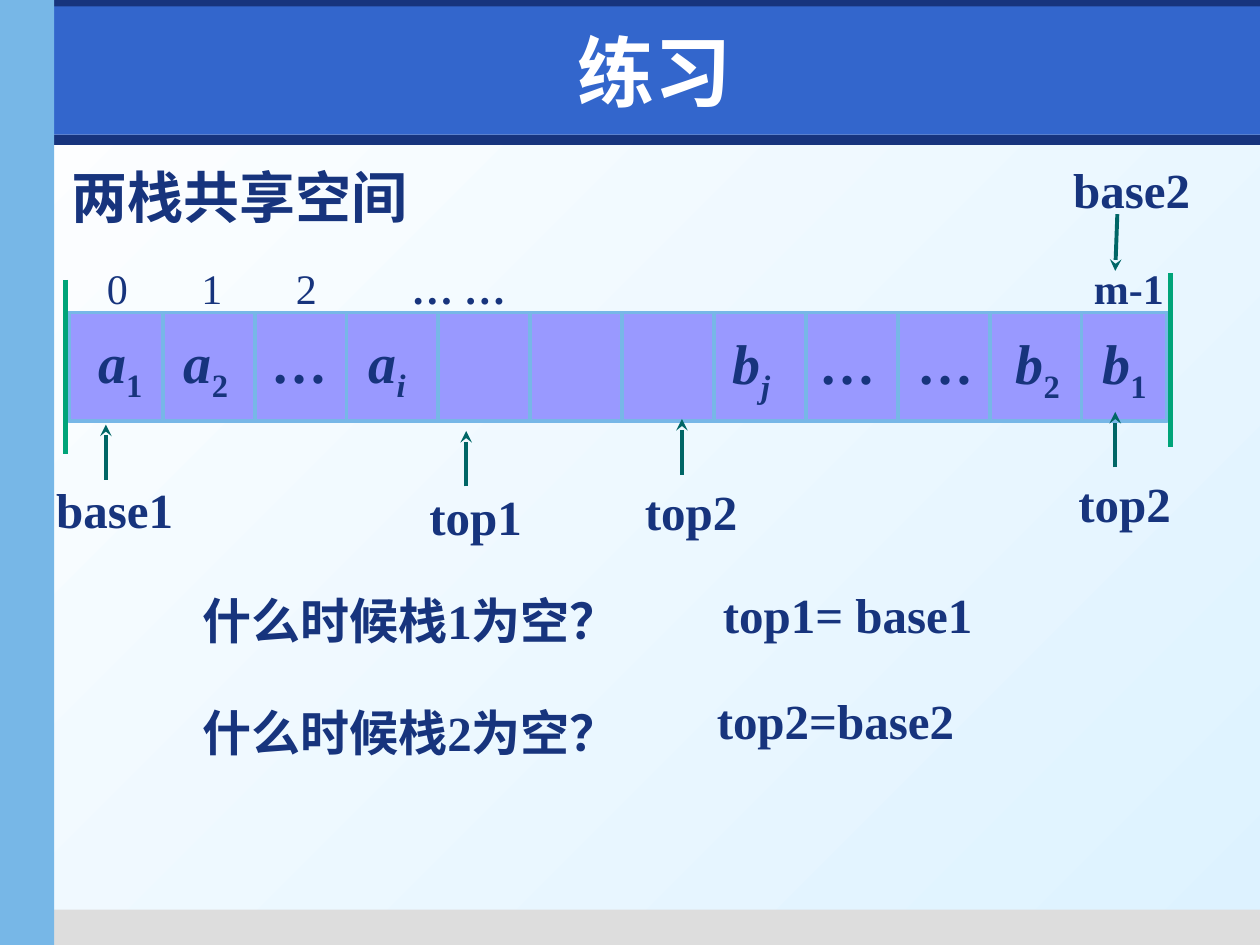
from lxml.etree import SubElement
from pptx import Presentation
from pptx.dml.color import RGBColor
from pptx.enum.shapes import MSO_CONNECTOR, MSO_SHAPE
from pptx.enum.text import MSO_ANCHOR, PP_ALIGN
from pptx.oxml.ns import qn
from pptx.util import Pt

COLORS = {
    "navy": "17347D", "blue": "3366CC", "sky": "77B7E7", "gray": "DDDDDD",
    "cell": "9999FF", "wall": "00A479", "arrow": "006666",
    "white": "FFFFFF", "pale": "DDF2FF",
}


def rgb(name):
    return RGBColor.from_string(COLORS[name])


class SlideBuilder:
    font = "Times New Roman"
    label_size = 28

    def __init__(self, slide):
        self.slide = slide

    def background(self, start, end):
        fill = self.slide.background.fill
        fill.gradient()
        fill.gradient_angle = 315
        for stop, color in zip(fill.gradient_stops, (start, end)):
            stop.color.rgb = rgb(color)

    def rect(self, left, top, width, height, color, border=None):
        shape = self.slide.shapes.add_shape(
            MSO_SHAPE.RECTANGLE, Pt(left), Pt(top), Pt(width), Pt(height))
        shape.shadow.inherit = False
        shape.fill.solid()
        shape.fill.fore_color.rgb = rgb(color)
        if border:
            shape.line.color.rgb = rgb(border)
            shape.line.width = Pt(2.25)
        else:
            shape.line.fill.background()

    def line(self, start, end, color, width=2.25, arrow=False):
        connector = self.slide.shapes.add_connector(
            MSO_CONNECTOR.STRAIGHT, *(Pt(value) for value in (*start, *end)))
        connector.line.color.rgb = rgb(color)
        connector.line.width = Pt(width)
        properties = connector._element.spPr
        if arrow:
            SubElement(properties.find(qn("a:ln")), qn("a:tailEnd"), type="stealth")
        SubElement(properties, qn("a:effectLst"))

    def text(self, left, top, width, height, runs, size=label_size, color="navy",
             font=font, tabs=(), align=PP_ALIGN.LEFT, anchor=MSO_ANCHOR.TOP):
        frame = self.slide.shapes.add_textbox(
            Pt(left), Pt(top), Pt(width), Pt(height)).text_frame
        frame.word_wrap = True
        frame.vertical_anchor = anchor
        paragraph = frame.paragraphs[0]
        paragraph.alignment = align
        if tabs:
            tab_list = SubElement(paragraph._p.get_or_add_pPr(), qn("a:tabLst"))
            for position in tabs:
                SubElement(tab_list, qn("a:tab"), pos=str(int(Pt(position))), algn="l")
        for content, style in runs:
            run = paragraph.add_run()
            run.text = content
            run.font.name = font
            run.font.size = Pt(size)
            run.font.color.rgb = rgb(color)
            run.font.bold = "b" in style
            run.font.italic = "i" in style
            if "_" in style:
                run.font._element.set("baseline", "-25000")

    def label(self, left, top, width, content, size=label_size):
        self.text(left, top, width, size * 1.45, [(content, "b")], size)

    def pointer(self, content, left, top, width, start, end):
        self.label(left, top, width, content)
        self.line(start, end, "arrow", arrow=True)


def main():
    presentation = Presentation()
    presentation.slide_width, presentation.slide_height = Pt(720), Pt(540)
    page = SlideBuilder(presentation.slides.add_slide(presentation.slide_layouts[6]))

    page.background("white", "pale")
    page.rect(31, 77, 689, 5.8, "navy")
    page.rect(31, 519.8, 689, 20.2, "gray")
    page.rect(31, 0, 689, 15, "navy")
    page.rect(31, 3.6, 689, 73.4, "blue")
    page.rect(0, 0, 31, 540, "sky")
    page.text(42.5, 9.4, 663, 62.6, [("练习", "b")], 44, "white", "DejaVu Sans",
              align=PP_ALIGN.CENTER, anchor=MSO_ANCHOR.MIDDLE)
    page.label(33.8, 89.3, 360, "两栈共享空间", 32)

    array_top, array_bottom = 178.6, 240.5
    page.rect(39.6, array_top, 627.1, array_bottom - array_top, "cell", "sky")
    for divider in range(11):
        x = 93 + 52.5 * divider
        page.line((x, array_top), (x, array_bottom), "sky")
    for x, top in ((37.4, 160), (668.9, 156.3)):
        page.line((x, top), (x, top + 99.3), "wall", 3)

    page.text(54, 146.2, 631, 36, [("0\t1\t2\t", ""), ("… …\tm-1", "b")], 24,
              tabs=(54, 108, 174, 564))
    page.text(49, 183.6, 222.5, 45.4, [
        ("a", "bi"), ("1", "b_"), ("\t", "b"), ("a", "bi"), ("2", "b_"),
        ("\t…\t", "b"), ("a", "bi"), ("i", "bi_")], 32, tabs=(49, 99, 154.5))
    page.text(411.8, 184.3, 260, 45.4, [
        ("b", "bi"), ("j", "bi_"), ("\t…\t…\t", "b"), ("b", "bi"), ("2", "b_"),
        ("\t", "b"), ("b", "bi"), ("1", "b_")], 32, tabs=(49.5, 105.5, 161.5, 211))

    for pointer in (
        ("base1", 25, 270.7, 95, (60.5, 274.3), (60.5, 242.6)),
        ("top1", 238.3, 274.6, 75.6, (266.4, 278), (266.4, 246.3)),
        ("top2", 361.4, 271.4, 67.7, (389.7, 271.4), (389.7, 239.4)),
        ("top2", 609.1, 267.1, 67.7, (637.3, 267.1), (637.3, 235.4)),
        ("base2", 606.2, 87.8, 82.8, (638.5, 122.4), (637.3, 154.8)),
    ):
        page.pointer(*pointer)

    for question, question_top, answer, answer_left, answer_top in (
        ("什么时候栈1为空？", 334, "top1= base1", 406, 330.5),
        ("什么时候栈2为空？", 397.7, "top2=base2", 402.5, 391),
    ):
        page.label(108.7, question_top, 291, question)
        page.label(answer_left, answer_top, 195, answer)

    presentation.save("out.pptx")


if __name__ == "__main__":
    main()
